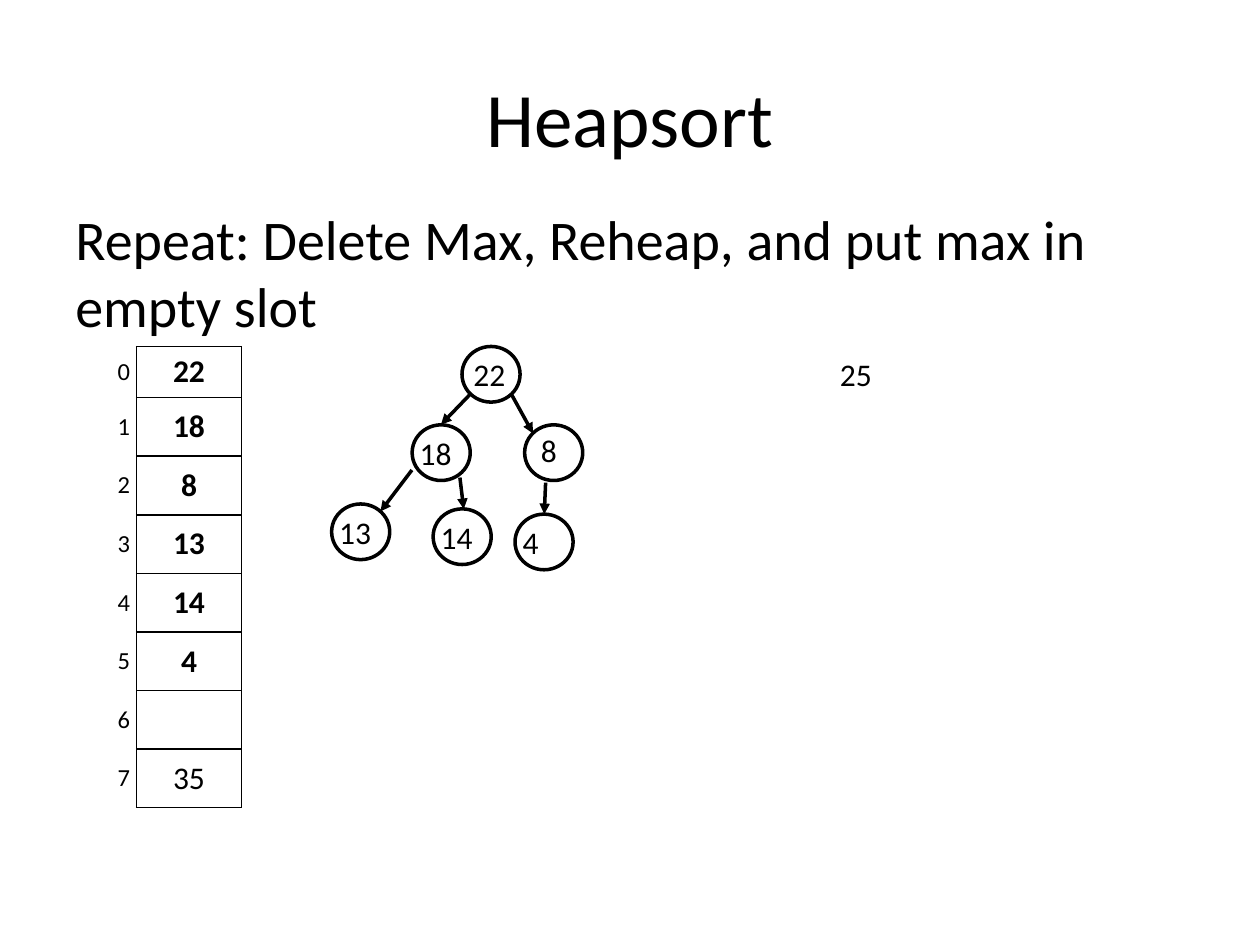
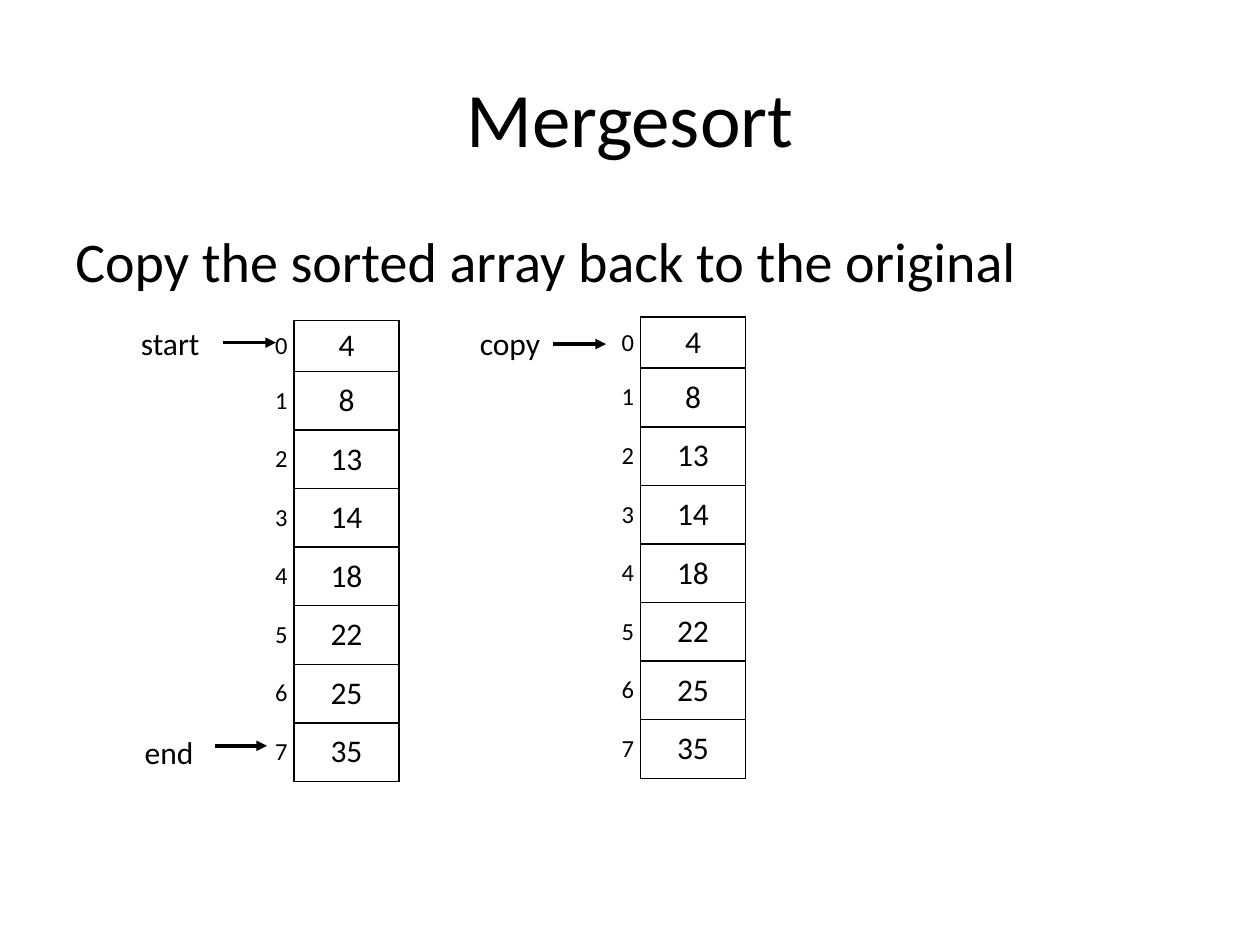
from lxml.etree import SubElement
from pptx import Presentation
from pptx.dml.color import RGBColor
from pptx.enum.shapes import MSO_CONNECTOR, MSO_SHAPE
from pptx.enum.text import MSO_ANCHOR, PP_ALIGN
from pptx.oxml.ns import qn
from pptx.util import Pt

BLACK = RGBColor(0, 0, 0)
FONT = "Calibri"
FIRST_ROW, ROW = 29.2, 33.5
INDEX_WIDTH, VALUE_WIDTH = 18, 60
NODE_WIDTH, NODE_HEIGHT = 33.2, 31.8


def add_text(slide, text, left, top, width, height, size=18, align=PP_ALIGN.LEFT,
             anchor=MSO_ANCHOR.TOP, inset=True):
    frame = slide.shapes.add_textbox(Pt(left), Pt(top), Pt(width), Pt(height)).text_frame
    frame.word_wrap = True
    frame.vertical_anchor = anchor
    if not inset:
        frame.margin_left = frame.margin_right = frame.margin_top = frame.margin_bottom = 0
    paragraph = frame.paragraphs[0]
    paragraph.text = text
    paragraph.alignment = align
    paragraph.font.name = FONT
    paragraph.font.size = Pt(size)
    paragraph.font.color.rgb = BLACK


def add_arrow(slide, start_x, start_y, end_x, end_y):
    arrow = slide.shapes.add_connector(
        MSO_CONNECTOR.STRAIGHT, Pt(start_x), Pt(start_y), Pt(end_x), Pt(end_y))
    arrow.line.color.rgb = BLACK
    arrow.line.width = Pt(2)
    SubElement(arrow.line._get_or_add_ln(), qn("a:tailEnd"), type="triangle")
    SubElement(arrow._element.spPr, qn("a:effectLst"))


presentation = Presentation()
presentation.slide_width = Pt(720)
presentation.slide_height = Pt(540)

slides = []
for title, body, body_top in [
    ("Heapsort", "Repeat: Delete Max, Reheap, and put max in empty slot", 113.5),
    ("Mergesort", "Copy the sorted array back to the original", 126),
]:
    slide = presentation.slides.add_slide(presentation.slide_layouts[6])
    add_text(slide, title, 36, 21.6, 648, 90, 44, PP_ALIGN.CENTER, MSO_ANCHOR.MIDDLE)
    add_text(slide, body, 36, body_top, 648, 482.4 - body_top, 32)
    slides.append(slide)
heapsort, mergesort = slides

heap_values = ["22", "18", "8", "13", "14", "4", "", "35"]
sorted_values = ["4", "8", "13", "14", "18", "22", "25", "35"]
arrays = [
    (heapsort, 60, 198, heap_values, 6),
    (mergesort, 150, 183, sorted_values, 0),
    (mergesort, 348, 181.2, sorted_values, 0),
]
for slide, left, top, values, heap_size in arrays:
    table = slide.shapes.add_table(
        len(values), 2, Pt(left), Pt(top), Pt(INDEX_WIDTH + VALUE_WIDTH),
        Pt(FIRST_ROW + ROW * (len(values) - 1))).table
    table.first_row = table.horz_banding = False
    table.columns[0].width = Pt(INDEX_WIDTH)
    table.columns[1].width = Pt(VALUE_WIDTH)
    for index, value in enumerate(values):
        table.rows[index].height = Pt(ROW if index else FIRST_ROW)
        for column, text, size, sides in [
            (0, str(index), 14, ["R"]),
            (1, value, 18, ["L", "R", "T", "B"]),
        ]:
            cell = table.cell(index, column)
            cell.vertical_anchor = MSO_ANCHOR.MIDDLE
            for side in sides:
                border = SubElement(cell._tc.get_or_add_tcPr(), qn(f"a:ln{side}"), w=str(Pt(1)))
                border_fill = SubElement(border, qn("a:solidFill"))
                SubElement(border_fill, qn("a:srgbClr"), val=str(BLACK))
            cell.fill.background()
            paragraph = cell.text_frame.paragraphs[0]
            paragraph.text = text
            paragraph.alignment = PP_ALIGN.CENTER
            paragraph.font.name = FONT
            paragraph.font.size = Pt(size)
            paragraph.font.bold = column == 1 and index < heap_size
            paragraph.font.color.rgb = BLACK

heap_nodes = [
    ("22", 264, 198, 3.6, 5, PP_ALIGN.CENTER),
    ("18", 235.5, 242.8, 4.3, 5, PP_ALIGN.LEFT),
    ("8", 299.8, 242.8, 9.2, 3.5, PP_ALIGN.LEFT),
    ("13", 189.5, 288, 4.3, 5, PP_ALIGN.LEFT),
    ("14", 247.5, 290.8, 4.3, 5, PP_ALIGN.LEFT),
    ("4", 294.3, 293.8, 4.3, 5, PP_ALIGN.LEFT),
]
for label, left, top, label_x, label_y, align in heap_nodes:
    node = heapsort.shapes.add_shape(
        MSO_SHAPE.OVAL, Pt(left), Pt(top), Pt(NODE_WIDTH), Pt(NODE_HEIGHT))
    node.shadow.inherit = False
    node.fill.background()
    node.line.color.rgb = BLACK
    node.line.width = Pt(2)
    add_text(heapsort, label, left + label_x, top + label_y, 24, 21.6, align=align, inset=False)
add_text(heapsort, "25", 480, 203, 24, 21.6, inset=False)

for label, left, top, width in [
    ("start", 73.4, 181.4, 52.6),
    ("end", 75.6, 415.4, 49),
    ("copy", 267.1, 181.4, 54),
]:
    add_text(mergesort, label, left, top, width, 28.8)

for slide, *ends in [
    (heapsort, 268.6, 225.4, 252, 242.6),
    (heapsort, 235.4, 268.6, 217.4, 292.3),
    (heapsort, 311.8, 275.8, 311, 293.8),
    (heapsort, 292.3, 225.4, 304.6, 247.7),
    (heapsort, 262.8, 272.9, 265, 290.9),
    (mergesort, 127.4, 195.8, 157.7, 195.8),
    (mergesort, 123.1, 426.2, 152.6, 426.2),
    (mergesort, 316.1, 196.6, 346.3, 196.6),
]:
    add_arrow(slide, *ends)

presentation.save("out.pptx")
